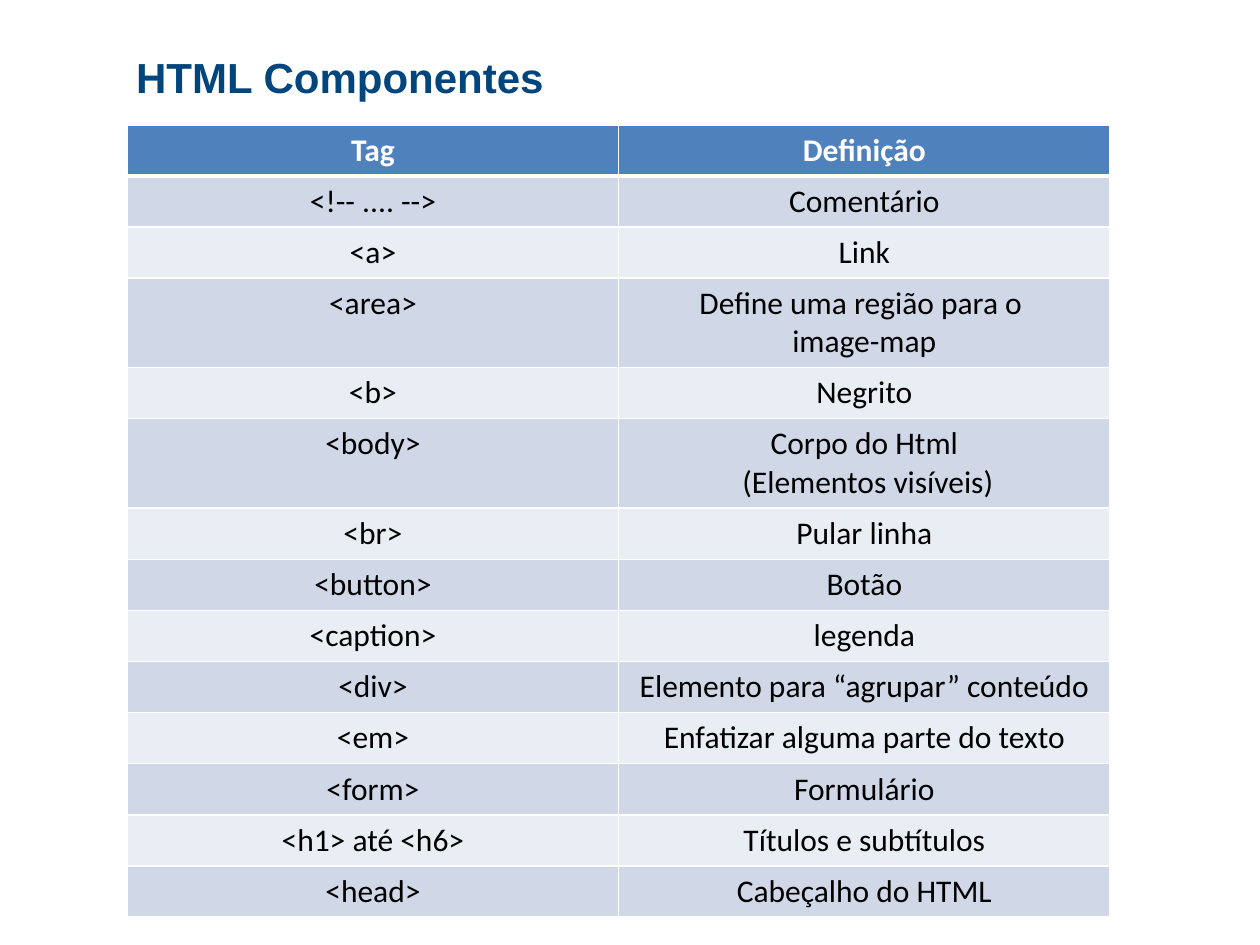
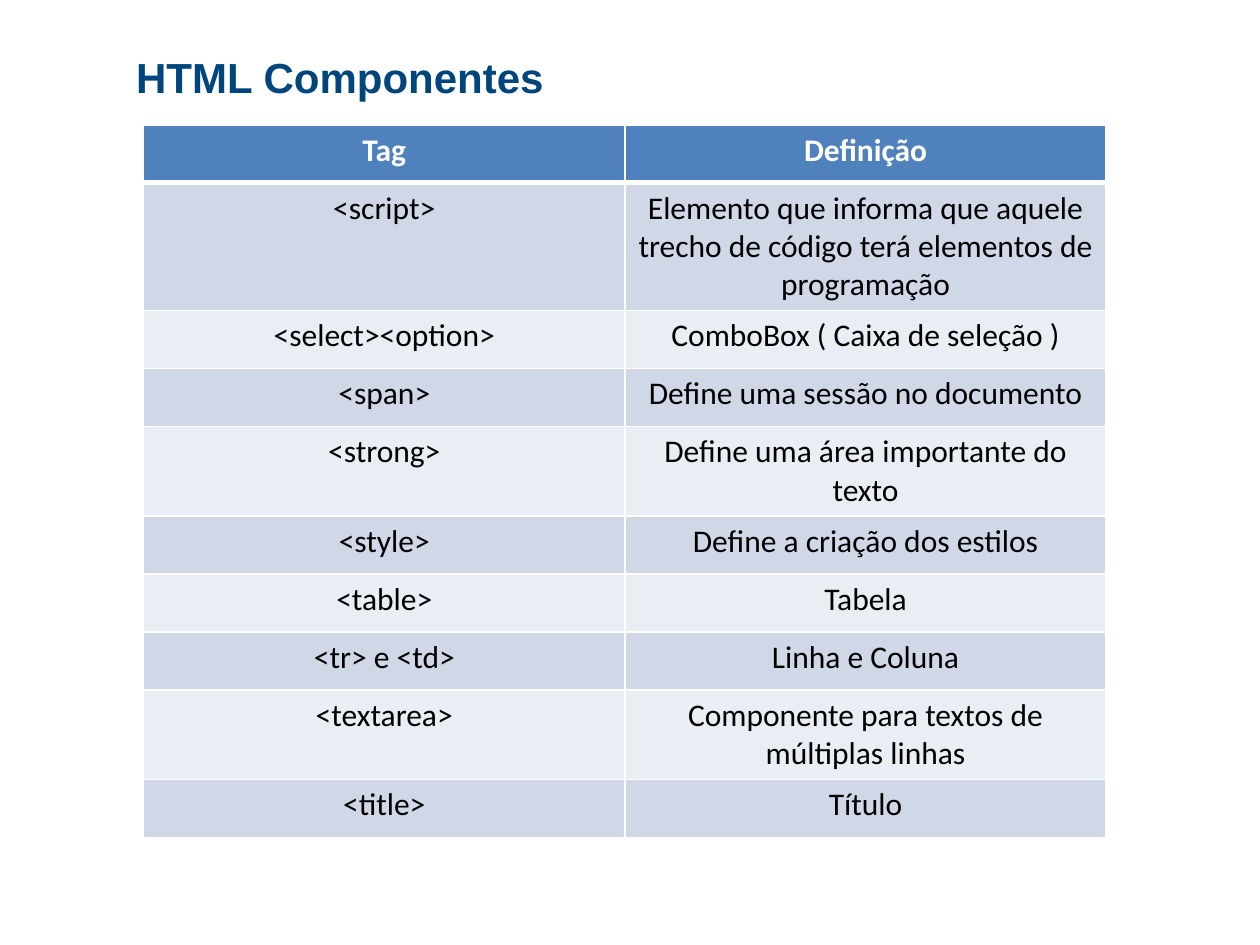
from dataclasses import dataclass

from lxml import etree
from pptx import Presentation
from pptx import util as u
from pptx.dml import color
from pptx.enum import text
from pptx.oxml import ns


@dataclass(frozen=True)
class Theme:
    title_font: str = "Arial"
    table_font: str = "Calibri"
    title_size: int = 24
    table_size: int = 18
    title: str = "00457C"
    header: str = "4F81BD"
    bands: tuple = ("D0D8E8", "E9EDF4")
    header_text: str = "FFFFFF"
    body_text: str = "000000"
    border: str = "FFFFFF"
    border_width: int = 1
    header_rule: int = 3


THEME = Theme()
TITLE = "HTML Componentes"
HEADINGS = ("Tag", "Definição")
TABLE_TOP = 0.99

TAGS_A_TO_H = [
    ("<!-- .... -->", "Comentário"),
    ("<a>", "Link"),
    ("<area>", "Define uma região para o \nimage-map"),
    ("<b>", "Negrito"),
    ("<body>", "Corpo do Html\n (Elementos visíveis)"),
    ("<br>", "Pular linha"),
    ("<button>", "Botão"),
    ("<caption>", "legenda"),
    ("<div>", "Elemento para “agrupar” conteúdo"),
    ("<em>", "Enfatizar alguma parte do texto"),
    ("<form>", "Formulário"),
    ("<h1> até <h6>", "Títulos e subtítulos"),
    ("<head>", "Cabeçalho do HTML"),
]
TAGS_S_TO_T = [
    ("<script>", "Elemento que informa que aquele trecho de código "
                 "terá elementos de programação"),
    ("<select><option>", "ComboBox ( Caixa de seleção )"),
    ("<span>", "Define uma sessão no documento"),
    ("<strong>", "Define uma área importante do texto"),
    ("<style>", "Define a criação dos estilos"),
    ("<table>", "Tabela"),
    ("<tr> e <td>", "Linha e Coluna"),
    ("<textarea>", "Componente para textos de múltiplas linhas"),
    ("<title>", "Título"),
]


def add_span(para, words, font, size, rgb, bold):
    span = para.add_run()
    span.text = words
    span.font.name = font
    span.font.size = u.Pt(size)
    span.font.bold = bold
    span.font.color.rgb = color.RGBColor.from_string(rgb)


def add_title(page):
    box = page.shapes.title
    box.left, box.top = u.Inches(0.98), u.Inches(0.36)
    box.width, box.height = u.Inches(8.62), u.Inches(0.87)
    frame = box.text_frame
    frame.auto_size = text.MSO_AUTO_SIZE.NONE
    frame.vertical_anchor = text.MSO_ANCHOR.TOP
    para = frame.paragraphs[0]
    para.alignment = text.PP_ALIGN.LEFT
    add_span(para, TITLE, THEME.title_font, THEME.title_size, THEME.title, True)


def set_borders(cell, top, bottom):
    """Draw all four cell edges; must run before the fill is set."""
    properties = cell._tc.get_or_add_tcPr()
    side = THEME.border_width
    for edge, width in (("L", side), ("R", side), ("T", top), ("B", bottom)):
        line = etree.SubElement(properties, ns.qn(f"a:ln{edge}"), w=str(u.Pt(width)))
        fill = etree.SubElement(line, ns.qn("a:solidFill"))
        etree.SubElement(fill, ns.qn("a:srgbClr"), val=THEME.border)


def fill_cell(cell, words, row):
    is_header = row == 0
    set_borders(
        cell,
        top=THEME.header_rule if row == 1 else THEME.border_width,
        bottom=THEME.header_rule if is_header else THEME.border_width,
    )
    cell.fill.solid()
    band = THEME.header if is_header else THEME.bands[(row - 1) % 2]
    cell.fill.fore_color.rgb = color.RGBColor.from_string(band)
    ink = THEME.header_text if is_header else THEME.body_text
    frame = cell.text_frame
    for index, line in enumerate(words.split("\n")):
        para = frame.add_paragraph() if index else frame.paragraphs[0]
        para.alignment = text.PP_ALIGN.CENTER
        add_span(para, line, THEME.table_font, THEME.table_size, ink, is_header)


def add_tag_table(page, tags, left, width, row_height):
    rows = [HEADINGS, *tags]
    table = page.shapes.add_table(
        len(rows), len(HEADINGS), u.Inches(left), u.Inches(TABLE_TOP),
        u.Inches(width), u.Inches(row_height * len(rows)),
    ).table
    for row, entries in enumerate(rows):
        table.rows[row].height = u.Inches(row_height)
        for column, words in enumerate(entries):
            fill_cell(table.cell(row, column), words, row)


def add_tag_page(deck, tags, left, width, row_height):
    page = deck.slides.add_slide(deck.slide_layouts.get_by_name("Title Only"))
    add_title(page)
    add_tag_table(page, tags, left, width, row_height)


def main():
    deck = Presentation()
    deck.slide_width, deck.slide_height = u.Inches(10), u.Inches(7.5)
    add_tag_page(deck, TAGS_A_TO_H, left=1.01, width=7.8, row_height=0.4)
    add_tag_page(deck, TAGS_S_TO_T, left=1.14, width=7.64, row_height=0.46)
    deck.save("out.pptx")


if __name__ == "__main__":
    main()
